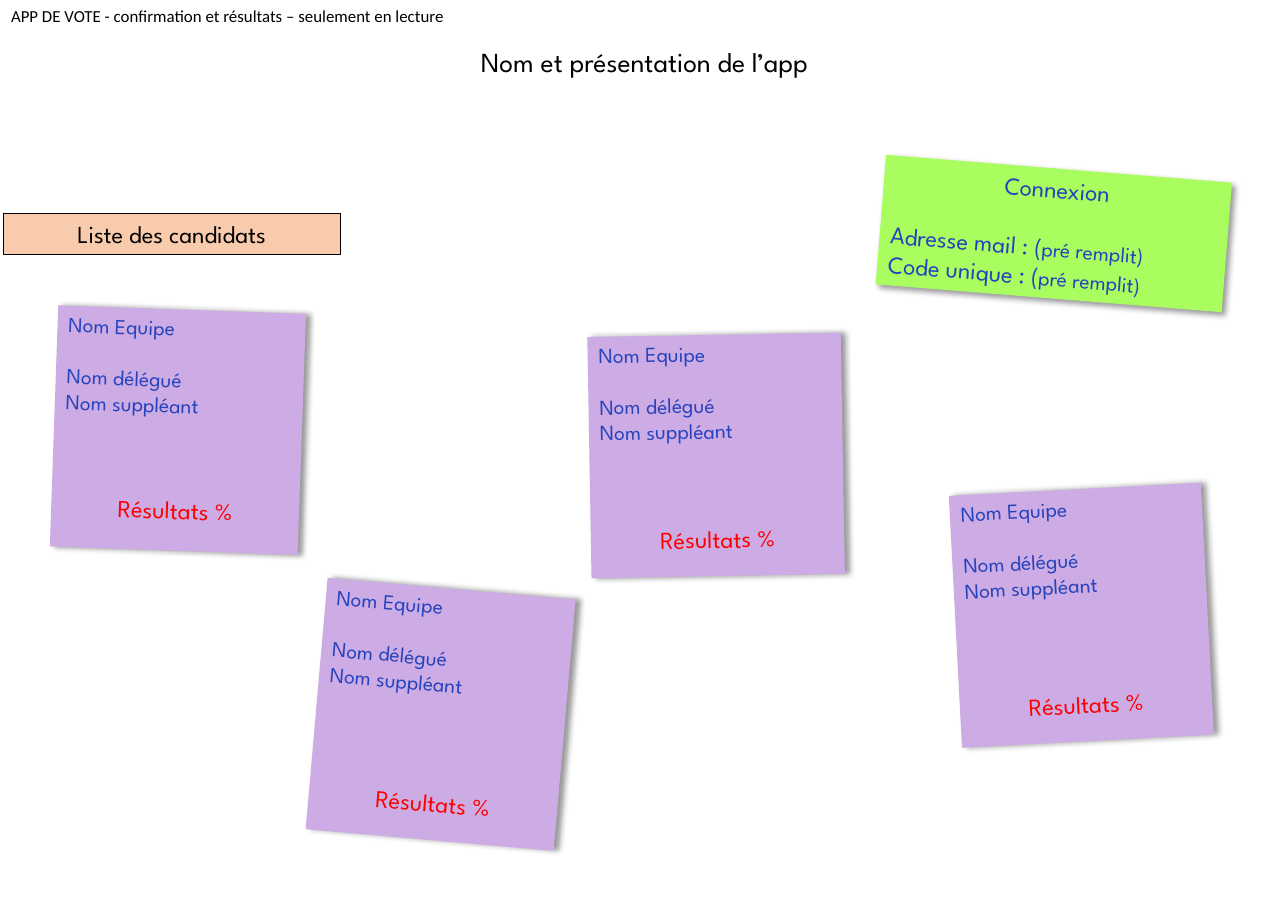
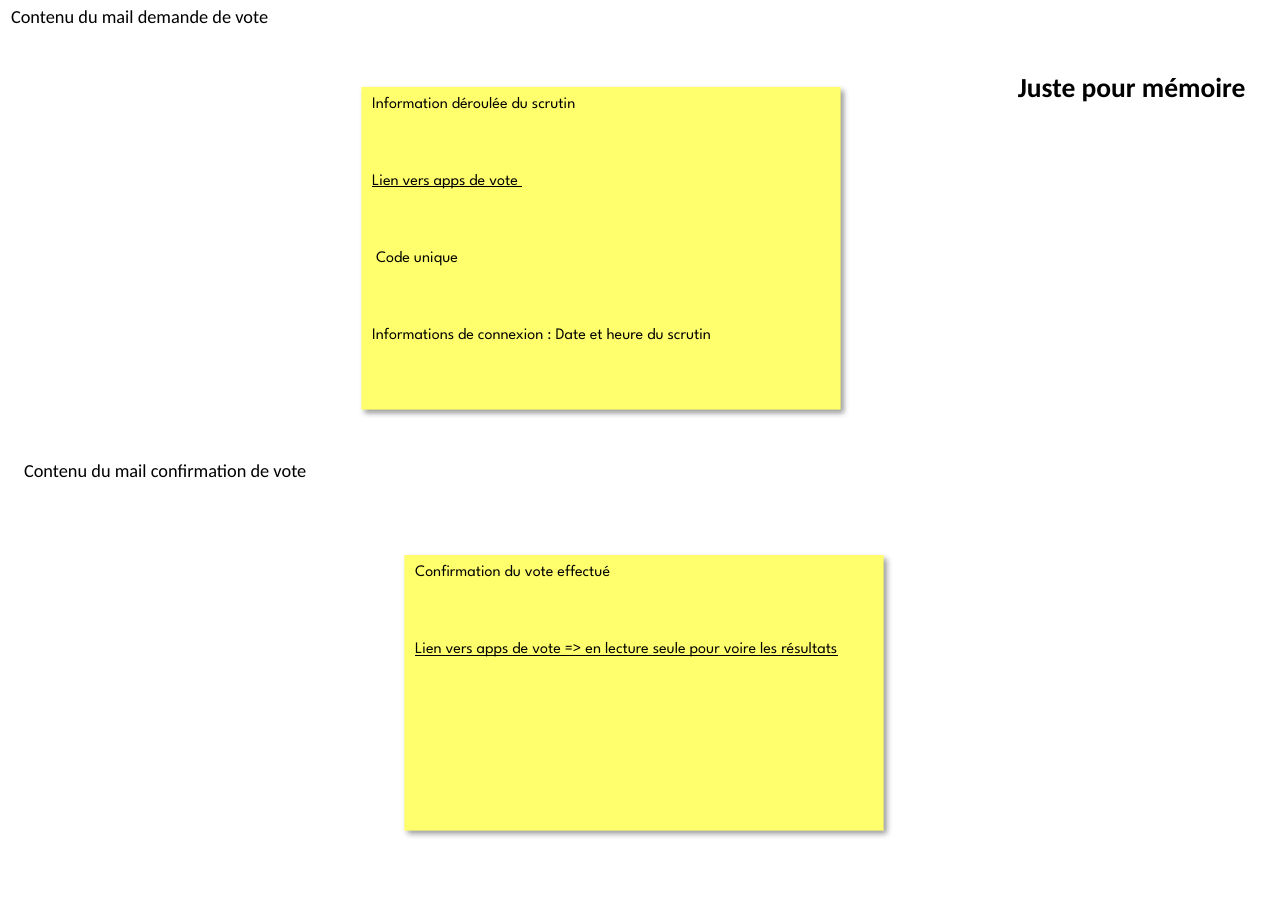
from lxml import etree
from pptx import Presentation
from pptx.dml.color import RGBColor
from pptx.enum.shapes import MSO_SHAPE
from pptx.enum.text import MSO_ANCHOR, MSO_AUTO_SIZE, PP_ALIGN
from pptx.oxml.ns import qn
from pptx.util import Inches, Pt

RECT = MSO_SHAPE.RECTANGLE
TOP, NO_FIT = MSO_ANCHOR.TOP, MSO_AUTO_SIZE.NONE
LEFT, CENTER = PP_ALIGN.LEFT, PP_ALIGN.CENTER

BLACK, WHITE, BLUE, RED = "000000", "FFFFFF", "2643BC", "FF0000"
GREEN, PEACH, PURPLE, YELLOW = "AAFD5F", "F8CBAD", "CDACE6", "FFFF6D"
PLAIN, ROUND = "Calibri", "League Spartan"
LINE = 1.2  # line height of the note font, as a multiple of its size


def write(shape, paragraphs, font):
    """Fill a shape with (text, size, colour, alignment, space before) paragraphs."""
    tf = shape.text_frame
    tf.word_wrap = True
    tf.auto_size = NO_FIT
    tf.vertical_anchor = TOP
    for i, (text, size, color, align, before) in enumerate(paragraphs):
        p = tf.add_paragraph() if i else tf.paragraphs[0]
        p.text = text
        p.alignment = align
        p.space_before = Pt(before)
        f = p.runs[0].font
        f.name, f.size = font, Pt(size)
        f.color.rgb = RGBColor.from_string(color)
    return tf


def add_box(s, at, fill, paragraphs, rotation=0, shadow_angle=None):
    """Add a filled rectangle with text; the shadow angle is in degrees."""
    box = s.shapes.add_shape(RECT, *map(Inches, at))
    box.rotation = rotation
    box.fill.solid()
    box.fill.fore_color.rgb = RGBColor.from_string(fill)
    box.line.fill.background()
    box.shadow.inherit = False
    if shadow_angle is not None:
        effects = box._element.spPr.find(qn("a:effectLst"))
        shadow = etree.SubElement(
            effects, qn("a:outerShdw"), blurRad=str(Pt(4)), dist=str(Pt(3)),
            dir=str(shadow_angle * 60000), algn="tl", rotWithShape="0")
        color = etree.SubElement(shadow, qn("a:srgbClr"), val=BLACK)
        etree.SubElement(color, qn("a:alpha"), val="40000")
    write(box, paragraphs, ROUND)
    return box


prs = Presentation()
prs.slide_width, prs.slide_height = Inches(11.69), Inches(8.27)

slides = []
for title, size in [
    ("APP DE VOTE - confirmation et résultats – seulement en lecture", 11),
    ("Contenu du mail demande de vote", 12),
]:
    s = prs.slides.add_slide(prs.slide_layouts[5])
    header = s.shapes.title
    header.left, header.top = 0, 0
    header.width, header.height = prs.slide_width, Inches(0.3)
    write(header, [(title, size, BLACK, LEFT, 0)], PLAIN)
    slides.append(s)
results, mails = slides

# Slide 1: results, read only
login = add_box(results, (7.99, 1.53, 3.15, 1.18), GREEN, [
    ("Connexion", 16, BLUE, CENTER, 0),
    ("Adresse mail : (", 16, BLUE, LEFT, 16 * LINE),
    ("Code unique : (", 16, BLUE, LEFT, 0),
], 4.6, 45)
for p in login.text_frame.paragraphs[1:]:
    r = p.add_run()
    r.text = "pré remplit)"
    r.font.name, r.font.size = ROUND, Pt(14)
    r.font.color.rgb = RGBColor.from_string(BLUE)

candidates = add_box(results, (0.03, 1.94, 3.06, 0.37), PEACH,
                     [("Liste des candidats", 16, BLACK, CENTER, 0)])
candidates.line.color.rgb = RGBColor.from_string(BLACK)
candidates.line.width = Pt(0.75)

add_box(results, (3.75, 0.36, 4.2, 0.4), WHITE,
        [("Nom et présentation de l’app", 18, BLACK, CENTER, 0)])

for at, rotation, gap in [
    ((0.49, 2.81, 2.25, 2.19), 2, 50.4),
    ((5.35, 3.04, 2.3, 2.19), -1, 52.8),
    ((8.67, 4.44, 2.29, 2.29), -3, 60),
    ((2.87, 5.34, 2.26, 2.29), 5, 60),
]:
    add_box(results, at, PURPLE, [
        ("Nom Equipe", 14, BLUE, LEFT, 0),
        ("Nom délégué", 14, BLUE, LEFT, 14 * LINE),
        ("Nom suppléant", 14, BLUE, LEFT, 0),
        ("Résultats %", 16, RED, CENTER, gap),
    ], rotation, 0)

# Slide 2: contents of the two mails; the second line of each is a link
for at, lines in [
    ((3.28, 0.79, 4.35, 2.93), [
        "Information déroulée du scrutin",
        "Lien vers apps de vote ",
        " Code unique",
        "Informations de connexion : Date et heure du scrutin",
    ]),
    ((3.67, 5.04, 4.35, 2.5), [
        "Confirmation du vote effectué",
        "Lien vers apps de vote => en lecture seule pour voire les résultats",
    ]),
]:
    gap = 3 * 10.5 * LINE
    mail = add_box(mails, at, YELLOW, [
        (line, 10.5, BLACK, LEFT, gap if i else 0) for i, line in enumerate(lines)
    ], shadow_angle=45)
    mail.text_frame.paragraphs[1].runs[0].font.underline = True

for at, text, size, bold in [
    ((0.12, 4.12, 11.57, 0.3), "Contenu du mail confirmation de vote", 12, False),
    ((9.14, 0.59, 2.36, 0.4), "Juste pour mémoire", 18, True),
]:
    label = mails.shapes.add_textbox(*map(Inches, at))
    tf = write(label, [(text, size, BLACK, LEFT, 0)], PLAIN)
    tf.paragraphs[0].runs[0].font.bold = bold

prs.save("out.pptx")
